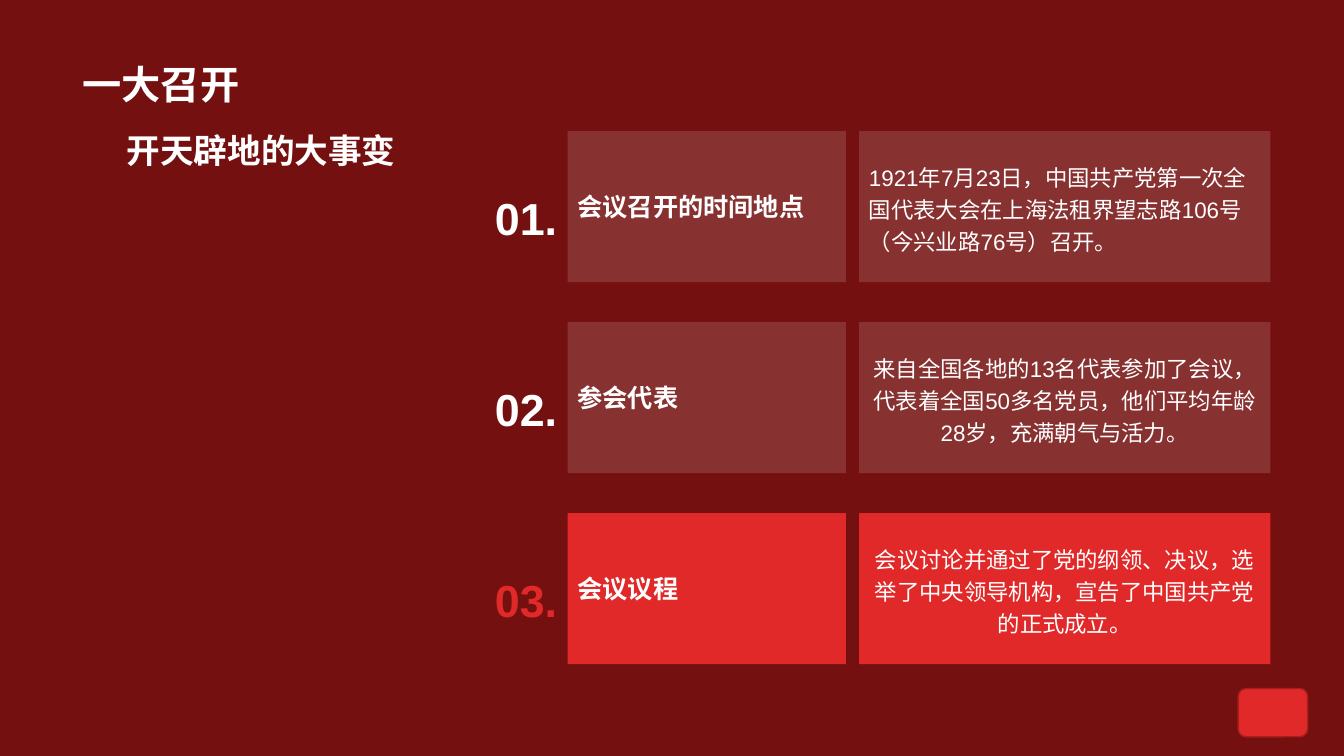
from lxml import etree
from pptx import Presentation
from pptx import util as u
from pptx.dml.color import RGBColor
from pptx.enum import shapes, text
from pptx.oxml import ns

DARK_RED = RGBColor(0x75, 0x10, 0x10)
RED = RGBColor(0xE1, 0x29, 0x29)
EDGE_RED = RGBColor(0xA6, 0x1E, 0x1E)
PALE = RGBColor(0xF0, 0xF0, 0xF0)
WHITE = RGBColor(0xFF, 0xFF, 0xFF)

# Page grid, in inches
LEFT, WIDTH = 0.72, 11.88
AGENDA_LEFT, AGENDA_TOP, AGENDA_WIDTH = 4.81, 1.3, 7.79
ROW_HEIGHT, ROW_STEP = 1.5, 1.895
NUMBER_WIDTH, HEADING_WIDTH, GAP = 0.82, 2.76, 0.13
NUMBER_DROP = 0.11

LEFT_ALIGN, CENTER = text.PP_ALIGN.LEFT, text.PP_ALIGN.CENTER
AGENDA = [
    ("会议召开的时间地点",
     "1921年7月23日，中国共产党第一次全国代表大会在上海法租界望志路106号（今兴业路76号）召开。",
     LEFT_ALIGN, False),
    ("参会代表",
     "来自全国各地的13名代表参加了会议，代表着全国50多名党员，他们平均年龄28岁，充满朝气与活力。",
     CENTER, False),
    ("会议议程",
     "会议讨论并通过了党的纲领、决议，选举了中央领导机构，宣告了中国共产党的正式成立。",
     CENTER, True),
]


def inches(*box):
    return [u.Inches(v) for v in box]


def write(sp, words, size, bold=True, color=WHITE, align=LEFT_ALIGN,
          anchor=text.MSO_ANCHOR.MIDDLE, wrap=True):
    tf = sp.text_frame
    tf.word_wrap = wrap
    tf.vertical_anchor = anchor
    p = tf.paragraphs[0]
    p.text = words
    p.alignment = align
    p.font.name = "Arial"
    p.font.size = u.Pt(size)
    p.font.bold = bold
    p.font.color.rgb = color
    return p


def add_block(slide, box, color, alpha=None):
    sp = slide.shapes.add_shape(shapes.MSO_SHAPE.ROUNDED_RECTANGLE, *inches(*box))
    sp.shadow.inherit = False
    sp.fill.solid()
    sp.fill.fore_color.rgb = color
    sp.line.fill.background()
    if alpha is not None:
        clr = sp.fill._xPr.find(".//" + ns.qn("a:srgbClr"))
        etree.SubElement(clr, ns.qn("a:alpha")).set("val", str(alpha * 1000))
    return sp


def add_headings(slide, left, width):
    # Title and subtitle
    title = slide.shapes.title
    title.left, title.top, title.width, title.height = inches(left, 0.14, width, 0.98)
    write(title, "一大召开", 28, anchor=text.MSO_ANCHOR.BOTTOM)
    subtitle = slide.shapes.add_textbox(*inches(left, 1.24, 3.74, 1.51))
    write(subtitle, "开天辟地的大事变", 24, align=CENTER, anchor=text.MSO_ANCHOR.TOP)


def add_agenda_row(slide, left, top, width, height, number, item):
    heading, detail, align, active = item
    fill, alpha = (RED, None) if active else (PALE, 15)
    heading_left = left + NUMBER_WIDTH
    detail_left = heading_left + HEADING_WIDTH + GAP

    # Heading block
    sp = add_block(slide, (heading_left, top, HEADING_WIDTH, height), fill, alpha)
    sp.adjustments[0] = 0
    write(sp, heading, 18)

    # Number
    sp = slide.shapes.add_textbox(*inches(left, top + NUMBER_DROP, NUMBER_WIDTH, height))
    write(sp, f"{number:02d}.", 32, color=RED if active else WHITE, wrap=False)

    # Detail block
    sp = add_block(slide, (detail_left, top, left + width - detail_left, height), fill, alpha)
    sp.adjustments[0] = 0
    p = write(sp, detail, 16, bold=False, align=align)
    p.line_spacing = 1.2


def add_corner_button(slide, box):
    sp = add_block(slide, box, RED)
    sp.line.color.rgb = EDGE_RED
    sp.line.width = u.Pt(1)


def main():
    prs = Presentation()
    prs.slide_width, prs.slide_height = inches(13.33, 7.5)
    s = prs.slides.add_slide(prs.slide_layouts[5])
    s.background.fill.solid()
    s.background.fill.fore_color.rgb = DARK_RED

    add_headings(s, LEFT, WIDTH)
    for i, item in enumerate(AGENDA):
        add_agenda_row(s, AGENDA_LEFT, AGENDA_TOP + i * ROW_STEP,
                       AGENDA_WIDTH, ROW_HEIGHT, i + 1, item)
    add_corner_button(s, (12.28, 6.83, 0.69, 0.48))
    prs.save("out.pptx")


if __name__ == "__main__":
    main()
